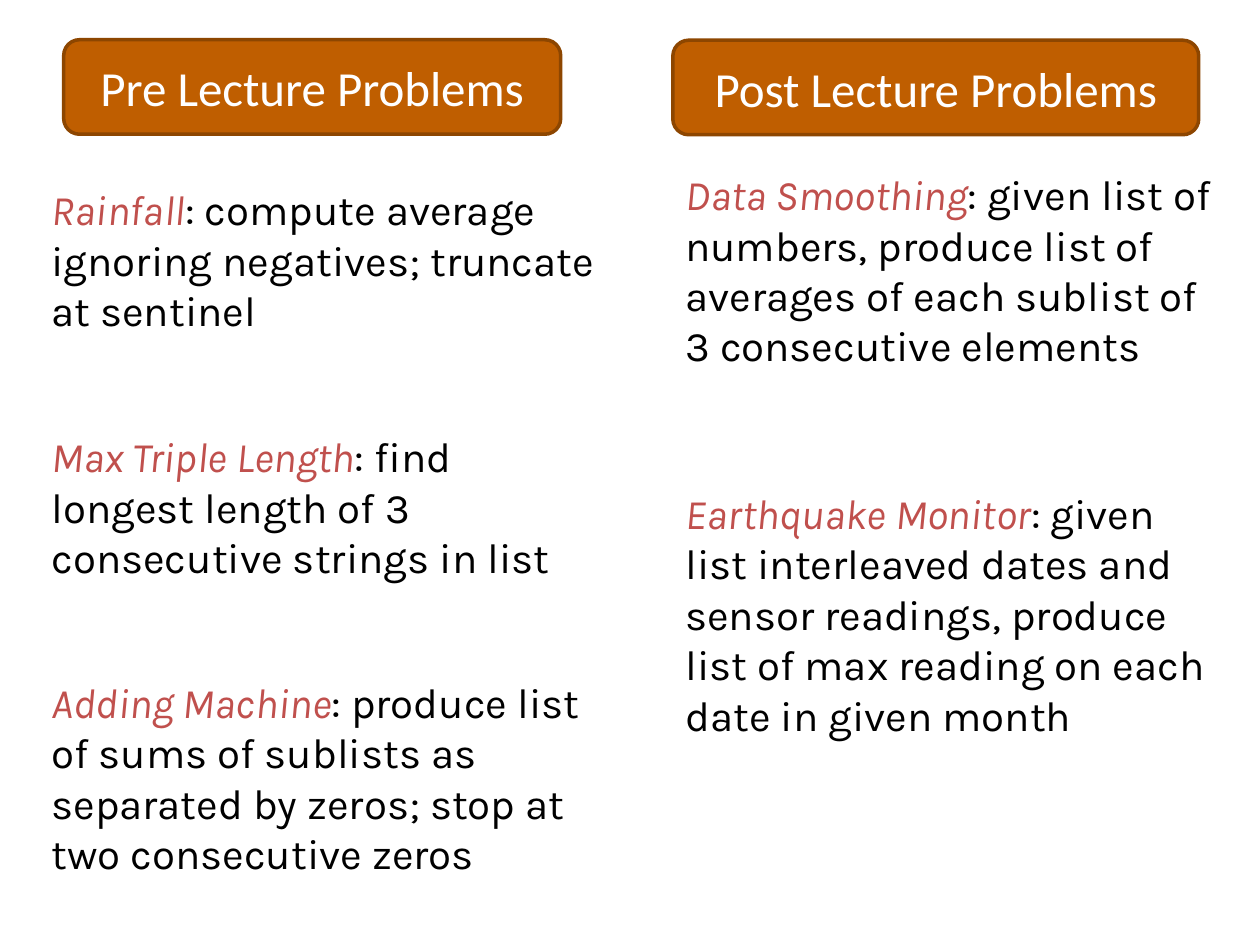
from pptx import Presentation
from pptx.dml.color import RGBColor
from pptx.enum.shapes import MSO_SHAPE
from pptx.enum.text import MSO_ANCHOR, MSO_AUTO_SIZE, PP_ALIGN
from pptx.util import Pt

HEADING = {"name": "Calibri", "size": Pt(28), "color": "FFFFFF"}
NAME = {"name": "Karla", "size": Pt(24), "italic": True, "color": "C0504D"}
DETAIL = {**NAME, "italic": False, "color": "000000"}

PRE_PROBLEMS = [
    ((22.3, 101.5, 325.4, 94.3), "Rainfall",
     "compute average ignoring negatives; truncate at sentinel"),
    ((22.3, 242.6, 325.4, 116.6), "Max Triple Length",
     "find longest length of 3 consecutive strings in list"),
    ((22.3, 383, 337, 145.4), "Adding Machine",
     "produce list of sums of sublists as separated by zeros; "
     "stop at two consecutive zeros"),
]
POST_PROBLEMS = [
    ((384.5, 92.9, 318.2, 123.8), "Data Smoothing",
     "given list of numbers, produce list of averages of each sublist "
     "of 3 consecutive elements"),
    ((384.5, 275, 318.2, 152.6), "Earthquake Monitor",
     "given list interleaved dates and sensor readings, produce list of "
     "max reading on each date in given month"),
]


def colour(value):
    return RGBColor.from_string(value)


def add_span(para, text, style):
    span = para.add_run()
    span.text = text
    for key, value in style.items():
        if key == "color":
            span.font.color.rgb = colour(value)
        else:
            setattr(span.font, key, value)


def add_heading(page, bounds, text):
    box = page.shapes.add_shape(MSO_SHAPE.ROUNDED_RECTANGLE, *map(Pt, bounds))
    box.shadow.inherit = False
    box.fill.solid()
    box.fill.fore_color.rgb = colour("BF5E00")
    box.line.color.rgb = colour("8D4600")
    box.line.width = Pt(2)
    box.text_frame.vertical_anchor = MSO_ANCHOR.MIDDLE
    para = box.text_frame.paragraphs[0]
    para.alignment = PP_ALIGN.CENTER
    add_span(para, text, HEADING)


def add_problem(page, bounds, name, detail):
    frame = page.shapes.add_textbox(*map(Pt, bounds)).text_frame
    frame.word_wrap = True
    frame.auto_size = MSO_AUTO_SIZE.SHAPE_TO_FIT_TEXT
    para = frame.paragraphs[0]
    add_span(para, name, NAME)
    add_span(para, f": {detail}", DETAIL)


def add_column(page, bounds, heading, problems):
    add_heading(page, bounds, heading)
    for problem in problems:
        add_problem(page, *problem)


def main():
    deck = Presentation()
    deck.slide_width, deck.slide_height = Pt(720), Pt(540)
    page = deck.slides.add_slide(deck.slide_layouts[6])
    add_column(page, (36.4, 22.7, 284, 54), "Pre Lecture Problems", PRE_PROBLEMS)
    add_column(page, (384.5, 23, 300.5, 54), "Post Lecture Problems", POST_PROBLEMS)
    deck.save("out.pptx")


if __name__ == "__main__":
    main()
